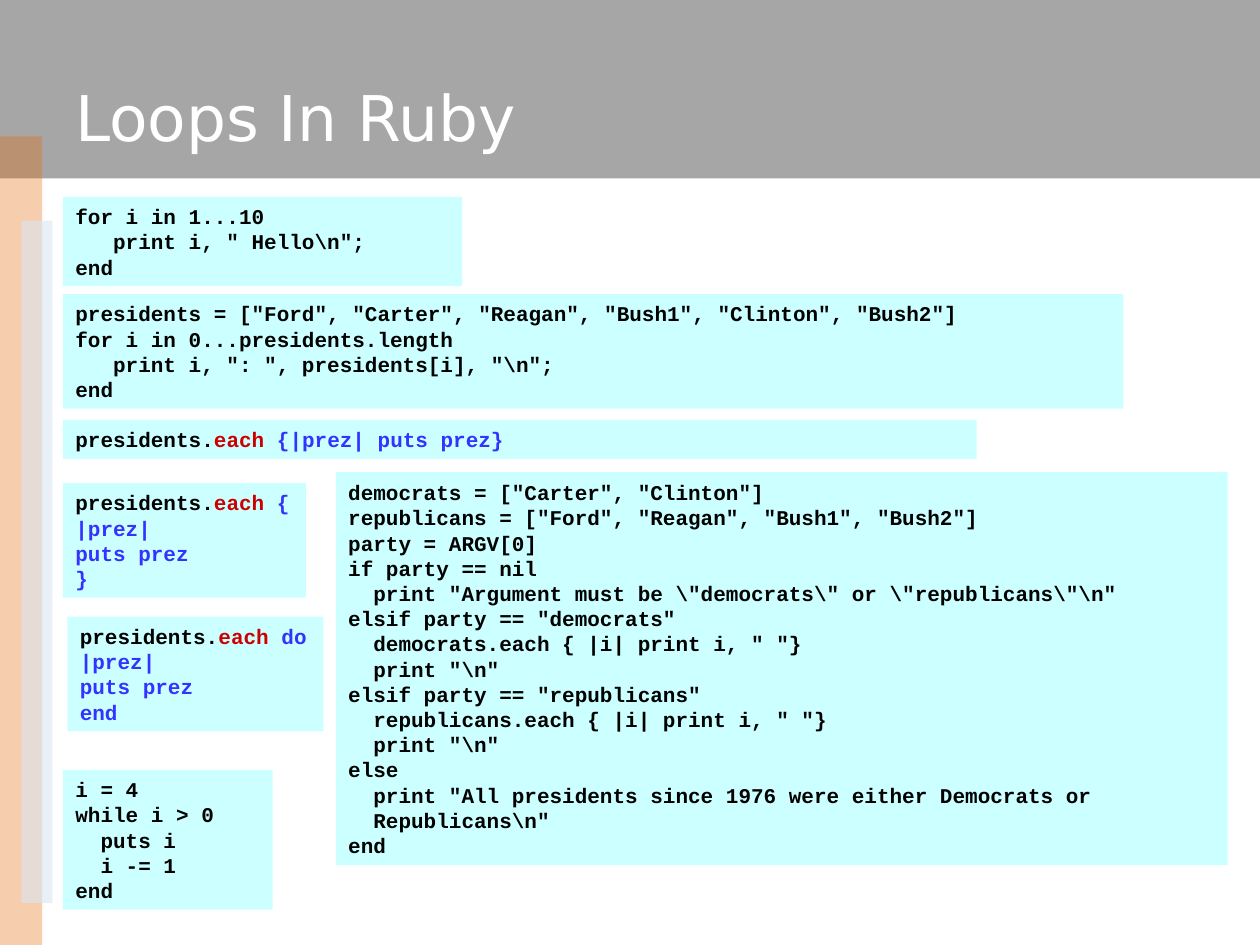
from pptx import Presentation
from pptx.dml.color import RGBColor
from pptx.enum.shapes import MSO_SHAPE as Shape
from pptx.enum.text import MSO_ANCHOR as Anchor, MSO_AUTO_SIZE as AutoSize, PP_ALIGN as Align
from pptx.oxml import parse_xml
from pptx.oxml.ns import nsdecls, qn
from pptx.util import Cm, Pt

WHITE = RGBColor(0xFF, 0xFF, 0xFF)
BLACK = RGBColor(0x00, 0x00, 0x00)
GRAY = RGBColor(0xA6, 0xA6, 0xA6)
ORANGE = RGBColor(0xE4, 0x6C, 0x0A)
PALE_BLUE = RGBColor(0xDC, 0xE6, 0xF2)
CYAN = RGBColor(0xCC, 0xFF, 0xFF)
RED = RGBColor(0xCC, 0x00, 0x00)
BLUE = RGBColor(0x33, 0x33, 0xFF)

LEFT = 1.27
LINE_HEIGHT = 0.51
BOX_PADDING = 0.27

FOR_RANGE = r'''for i in 1...10
   print i, " Hello\n";
end'''

FOR_INDEX = r'''presidents = ["Ford", "Carter", "Reagan", "Bush1", "Clinton", "Bush2"]
for i in 0...presidents.length
   print i, ": ", presidents[i], "\n";
end'''

WHILE_LOOP = '''i = 4
while i > 0
  puts i
  i -= 1
end'''

PARTY_SCRIPT = r'''democrats = ["Carter", "Clinton"]
republicans = ["Ford", "Reagan", "Bush1", "Bush2"]
party = ARGV[0]
if party == nil
  print "Argument must be \"democrats\" or \"republicans\"\n"
elsif party == "democrats"
  democrats.each { |i| print i, " "}
  print "\n"
elsif party == "republicans"
  republicans.each { |i| print i, " "}
  print "\n"
else
  print "All presidents since 1976 were either Democrats or
  Republicans\n"
end'''


def each_loop(block):
    return [("presidents.", BLACK), ("each ", RED), (block, BLUE)]


class SlideBuilder:
    title_font = "DejaVu Sans"
    code_font = "Courier New"

    def __init__(self, slide):
        self.slide = slide

    def rectangle(self, left, top, width, height, color, opacity=100):
        shape = self.slide.shapes.add_shape(
            Shape.RECTANGLE, Cm(left), Cm(top), Cm(width), Cm(height))
        shape.shadow.inherit = False
        shape.fill.solid()
        shape.fill.fore_color.rgb = color
        shape.line.fill.background()
        if opacity < 100:
            color_element = next(shape.element.iter(qn("a:srgbClr")))
            color_element.append(parse_xml(
                f'<a:alpha {nsdecls("a")} val="{opacity * 1000}"/>'))
        return shape

    def title(self, text, left, top, width, height):
        box = self.slide.shapes.add_textbox(Cm(left), Cm(top), Cm(width), Cm(height))
        frame = box.text_frame
        frame.word_wrap = True
        frame.vertical_anchor = Anchor.MIDDLE
        frame.text = text
        font = frame.paragraphs[0].runs[0].font
        font.name, font.size, font.color.rgb = self.title_font, Pt(36), WHITE

    def code_box(self, left, top, width, pieces, wrap=True):
        """Add a box as high as its code; pieces are (text, color) pairs."""
        line_count = 1 + sum(text.count("\n") for text, _ in pieces)
        height = line_count * LINE_HEIGHT + BOX_PADDING
        frame = self.rectangle(left, top, width, height, CYAN).text_frame
        frame.word_wrap = wrap
        frame.auto_size = AutoSize.SHAPE_TO_FIT_TEXT
        frame.vertical_anchor = Anchor.MIDDLE
        paragraph = frame.paragraphs[0]
        for text, color in pieces:
            for index, line in enumerate(text.split("\n")):
                if index:
                    paragraph = frame.add_paragraph()
                paragraph.alignment = Align.LEFT
                run = paragraph.add_run()
                run.text = line
                font = run.font
                font.name, font.size, font.bold = self.code_font, Pt(12), True
                font.color.rgb = color


def main():
    presentation = Presentation()
    presentation.slide_width, presentation.slide_height = Cm(25.4), Cm(19.05)
    slide = presentation.slides.add_slide(presentation.slide_layouts[6])
    builder = SlideBuilder(slide)

    builder.rectangle(0, 0, 25.4, 3.6, GRAY)
    builder.rectangle(0, 2.75, 0.85, 16.3, ORANGE, opacity=33)
    builder.rectangle(0.43, 4.45, 0.63, 13.76, PALE_BLUE, opacity=61)
    builder.title("Loops In Ruby", LEFT, 0.76, 23.5, 3.18)

    builder.code_box(LEFT, 3.97, 8.05, [(FOR_RANGE, BLACK)])
    builder.code_box(LEFT, 5.93, 21.38, [(FOR_INDEX, BLACK)])
    builder.code_box(LEFT, 8.47, 18.42, each_loop("{|prez| puts prez}"))
    builder.code_box(LEFT, 9.74, 4.9, each_loop("{\n|prez|\nputs prez\n}"), wrap=False)
    builder.code_box(1.36, 12.43, 5.16, each_loop("do\n|prez|\nputs prez\nend"), wrap=False)
    builder.code_box(LEFT, 15.52, 4.23, [(WHILE_LOOP, BLACK)])
    builder.code_box(6.77, 9.52, 17.98, [(PARTY_SCRIPT, BLACK)])

    presentation.save("out.pptx")


if __name__ == "__main__":
    main()
